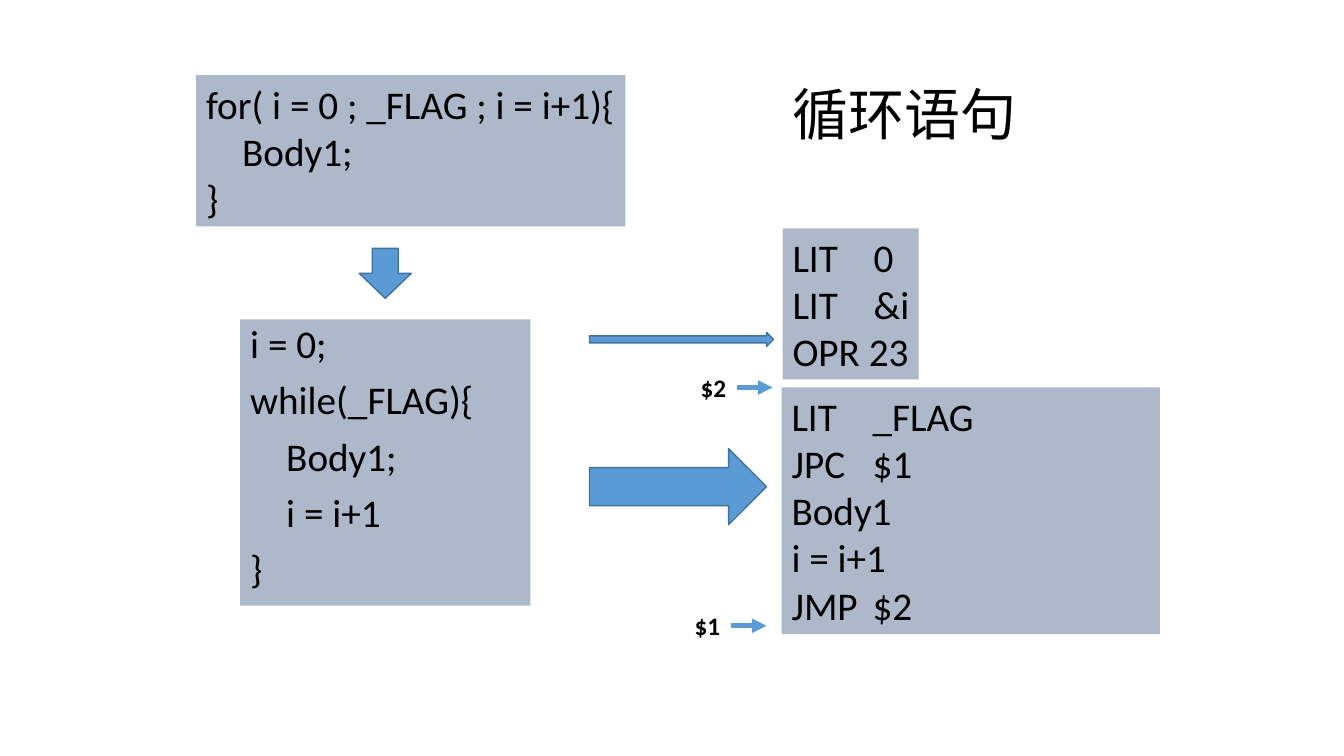
"""Build the slide that shows how a for loop is lowered to stack code."""
from dataclasses import dataclass
from lxml.etree import SubElement
from pptx import Presentation
from pptx.dml.color import RGBColor as RGB
from pptx.enum.shapes import MSO_CONNECTOR as CONN, MSO_SHAPE as SHAPE
from pptx.enum.text import MSO_ANCHOR as ANCHOR, PP_ALIGN as ALIGN
from pptx.oxml.ns import qn
from pptx.util import Pt


@dataclass(frozen=True)
class Theme:
    ink: RGB = RGB(0x00, 0x00, 0x00)
    panel: RGB = RGB(0xAD, 0xB9, 0xCA)
    arrow: RGB = RGB(0x5B, 0x9B, 0xD5)
    edge: RGB = RGB(0x41, 0x71, 0x9C)
    latin: str = "Calibri"
    cjk: str = "Noto Sans CJK SC"
    code: int = 28
    label: int = 18
    title: int = 40


T = Theme()
INDENT, TAB = 36, 81


def px(n):
    return round(n * 914400 / 100.7)


def write(sp, lines, size, font=T.latin, bold=False, leading=None, before=None):
    tf = sp.text_frame
    tf.word_wrap, tf.vertical_anchor = True, ANCHOR.TOP
    tf.margin_left, tf.margin_right = px(10), 0
    tf.margin_top = tf.margin_bottom = px(5)
    tf.text = "\n".join(line.strip(">") for line in lines)
    for line, p in zip(lines, tf.paragraphs):
        p.alignment, p.line_spacing, p.space_before = ALIGN.LEFT, leading, before
        pPr = p._p.get_or_add_pPr()
        if line.startswith(">"):
            pPr.set("marL", str(px(INDENT)))
        if "\t" in line:
            tabs = SubElement(pPr, qn("a:tabLst"))
            SubElement(tabs, qn("a:tab"), pos=str(px(TAB)), algn="l")
        for r in p.runs:
            r.font.name, r.font.size, r.font.bold = font, Pt(size), bold
            r.font.color.rgb = T.ink
            SubElement(r._r.get_or_add_rPr(), qn("a:ea"), typeface=font)


prs = Presentation()
prs.slide_width, prs.slide_height = px(1343), px(755)
s = prs.slides.add_slide(prs.slide_layouts[6])

while_style = {"leading": 0.9, "before": Pt(10)}
panels = [
    ((240, 319, 290, 286), ["i = 0;", "while(_FLAG){", ">Body1;", ">i = i+1", "}"], while_style),
    ((196, 75, 429, 151), ["for( i = 0 ; _FLAG ; i = i+1){", ">Body1;", "}"], {}),
    ((781, 387, 378, 246), ["LIT\t_FLAG", "JPC\t$1", "Body1", "i = i+1", "JMP\t$2"], {}),
    ((782, 228, 136, 151), ["LIT\t0", "LIT\t&i", "OPR 23"], {}),
]
for box, lines, style in panels:
    sp = s.shapes.add_shape(SHAPE.RECTANGLE, *map(px, box))
    sp.shadow.inherit = False
    sp.fill.solid()
    sp.fill.fore_color.rgb = T.panel
    sp.line.fill.background()
    write(sp, lines, T.code, **style)

block_arrows = [
    (SHAPE.DOWN_ARROW, (359, 248, 52, 50)),
    (SHAPE.RIGHT_ARROW, (589, 448, 177, 76)),
    (SHAPE.RIGHT_ARROW, (589, 332, 184, 14)),
]
for kind, box in block_arrows:
    sp = s.shapes.add_shape(kind, *map(px, box))
    sp.shadow.inherit = False
    sp.fill.solid()
    sp.fill.fore_color.rgb = T.arrow
    sp.line.color.rgb, sp.line.width = T.edge, Pt(1)

for label, left, middle in [("$1", 684, 625), ("$2", 690, 387)]:
    sp = s.shapes.add_textbox(px(left), px(middle - 20), px(45), px(40))
    write(sp, [label], T.label, bold=True)
    jump = s.shapes.add_connector(
        CONN.STRAIGHT, px(left + 46), px(middle), px(left + 82), px(middle))
    jump.line.color.rgb, jump.line.width = T.arrow, Pt(3.5)
    SubElement(jump.line._get_or_add_ln(), qn("a:tailEnd"), type="triangle")
    SubElement(jump._element.spPr, qn("a:effectLst"))

title = s.shapes.add_textbox(*map(px, (782, 74, 244, 78)))
write(title, ["循环语句"], T.title, font=T.cjk)

prs.save("out.pptx")
